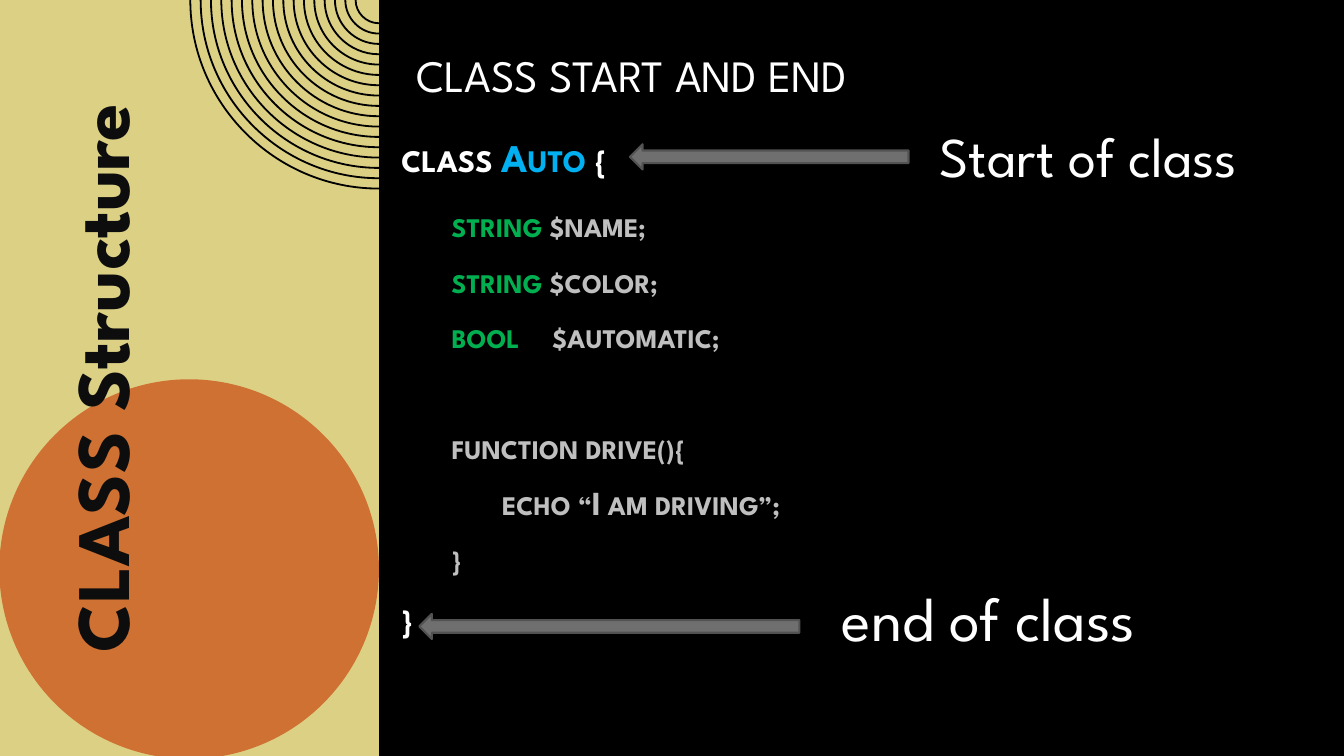
from lxml.etree import SubElement
from pptx import Presentation
from pptx.dml.color import RGBColor
from pptx.enum.shapes import MSO_SHAPE
from pptx.enum.text import MSO_ANCHOR, MSO_AUTO_SIZE, PP_ALIGN
from pptx.oxml.ns import qn
from pptx.util import Pt

COLORS = {
    "black": "000000", "sand": "DCD084", "orange": "CF7133",
    "white": "FFFFFF", "silver": "BFBFBF", "ink": "0D0D0D",
    "blue": "00B0F0", "green": "00B050",
    "arrow": "6F6F6F", "arrow edge": "525252",
}
PANEL_WIDTH = 270.7
TAB_WIDTH = 36
VALUE_STOP = 102
CIRCLE_HANDLE = 0.55

# Each line: indent level, size, extra space after, spans of (text, colour)
CODE = [
    (0, 28, 6, [("class ", "white"), ("Auto", "blue"), (" {", "white")]),
    (1, 24, 0, [("string ", "green"), ("$name;", "silver")]),
    (1, 24, 0, [("string ", "green"), ("$color;", "silver")]),
    (1, 24, 39.6, [("bool\t", "green"), ("$automatic;", "silver")]),
    (1, 24, 0, [("function drive(){", "silver")]),
    (2, 24, 0, [("echo “I am driving”;", "silver")]),
    (1, 24, 0, [("}", "silver")]),
    (0, 28, 0, [("}", "white")]),
]


def rgb(name):
    return RGBColor.from_string(COLORS[name])


def round_slanted_edges(shape):
    """Turn each slanted edge into a quarter circle bulging down and left."""
    start = None
    for edge in list(shape._element.iter(qn("a:moveTo"), qn("a:lnTo"))):
        end = tuple(int(edge[0].get(axis)) for axis in "xy")
        if edge.tag == qn("a:lnTo") and start[0] != end[0] and start[1] != end[1]:
            corner = min(start[0], end[0]), max(start[1], end[1])
            edge.tag = qn("a:cubicBezTo")
            edge.remove(edge[0])
            handles = [[round(p + CIRCLE_HANDLE * (c - p))
                        for p, c in zip(point, corner)] for point in (start, end)]
            for x, y in (*handles, end):
                SubElement(edge, qn("a:pt"), x=str(x), y=str(y))
        start = end


class SlideBuilder:
    def __init__(self, page, font="League Spartan"):
        self.page = page
        self.font = font
        page.background.fill.solid()
        page.background.fill.fore_color.rgb = rgb("black")

    def style(self, para, size, color=None, bold=False):
        para.font.name = self.font
        para.font.size = Pt(size)
        para.font.bold = bold
        if color:
            para.font.color.rgb = rgb(color)

    def paint(self, shape, fill, edge=None):
        shape.shadow.inherit = False
        shape.fill.solid()
        shape.fill.fore_color.rgb = rgb(fill)
        if edge:
            shape.line.color.rgb = rgb(edge)
            shape.line.width = Pt(1.5)
        else:
            shape.line.fill.background()

    def place(self, box, left, top, width, height):
        box.left, box.top = Pt(left), Pt(top)
        box.width, box.height = Pt(width), Pt(height)

    def shape(self, kind, left, top, width, height, fill, edge=None):
        shape = self.page.shapes.add_shape(
            kind, Pt(left), Pt(top), Pt(width), Pt(height))
        self.paint(shape, fill, edge)

    def quarter_rings(self, center_x, first, step, count, thickness):
        """Draw concentric quarter rings below the top edge as one shape."""
        builder = None
        for ring in range(count):
            outer = first + step * ring
            inner = outer - thickness
            corner = Pt(center_x - outer), 0
            if builder is None:
                builder = self.page.shapes.build_freeform(*corner)
            else:
                builder.move_to(*corner)
            builder.add_line_segments([
                (Pt(center_x - inner), 0), (Pt(center_x), Pt(inner)),
                (Pt(center_x), Pt(outer)), corner])
        rings = builder.convert_to_shape()
        round_slanted_edges(rings)
        self.paint(rings, "black")

    def title(self, text, left, top, width, height, size):
        box = self.page.shapes.title
        self.place(box, left, top, width, height)
        frame = box.text_frame
        frame.text = text
        frame.auto_size = MSO_AUTO_SIZE.NONE
        frame.vertical_anchor = MSO_ANCHOR.MIDDLE
        para = frame.paragraphs[0]
        para.alignment = PP_ALIGN.LEFT
        self.style(para, size, "white")

    def code(self, lines, left, top, width, height):
        box = self.page.placeholders[1]
        self.place(box, left, top, width, height)
        frame = box.text_frame
        frame.auto_size = MSO_AUTO_SIZE.NONE
        frame.vertical_anchor = MSO_ANCHOR.MIDDLE
        frame.margin_left = frame.margin_right = Pt(3.6)
        frame.margin_top = frame.margin_bottom = Pt(3.6)
        for number, line in enumerate(lines):
            para = frame.add_paragraph() if number else frame.paragraphs[0]
            self.code_line(para, *line)

    def code_line(self, para, level, size, gap, spans):
        para.alignment = PP_ALIGN.JUSTIFY
        para.line_spacing = Pt(size * 1.2)
        para.space_before = Pt(size * 0.2)
        para.space_after = Pt(6 + gap)
        properties = para._p.get_or_add_pPr()
        properties.set("marL", str(Pt(TAB_WIDTH * level)))
        properties.set("indent", "0")
        SubElement(properties, qn("a:buNone"))
        if any("\t" in text for text, _ in spans):
            stops = SubElement(properties, qn("a:tabLst"))
            SubElement(stops, qn("a:tab"), pos=str(Pt(VALUE_STOP)), algn="l")
        self.style(para, size, bold=True)
        for text, color in spans:
            span = para.add_run()
            span.text = text
            span.font.color.rgb = rgb(color)
            span._r.get_or_add_rPr().set("cap", "small")

    def label(self, text, left, top, width, height, size,
              color="white", bold=False, rotation=0):
        box = self.page.shapes.add_textbox(
            Pt(left), Pt(top), Pt(width), Pt(height))
        box.rotation = rotation
        frame = box.text_frame
        frame.word_wrap = True
        frame.text = text
        para = frame.paragraphs[0]
        para.alignment = PP_ALIGN.CENTER
        self.style(para, size, color, bold)


def main():
    deck = Presentation()
    deck.slide_width, deck.slide_height = Pt(960), Pt(540)
    slide = SlideBuilder(deck.slides.add_slide(deck.slide_layouts[1]))

    slide.shape(MSO_SHAPE.RECTANGLE, 0, 0, PANEL_WIDTH, 540, "sand")
    slide.quarter_rings(PANEL_WIDTH, first=17.3, step=7.38, count=17,
                        thickness=1.3)
    slide.shape(MSO_SHAPE.OVAL, -0.5, 270.9, 271.2, 271.2, "orange")

    slide.title("CLASS START AND END", 290, 23, 643, 60.5, 32)
    slide.code(CODE, 283, 83.5, 643, 386)

    slide.label("Start of class", 649.5, 83.5, 256, 55.5, 40)
    slide.label("end of class", 571, 410.5, 270.5, 60.5, 44)
    for left, top, width in [(450, 103, 199), (299.5, 438.5, 271.5)]:
        slide.shape(MSO_SHAPE.LEFT_ARROW, left, top, width, 18,
                    "arrow", "arrow edge")
    slide.label("CLASS Structure", -198.7, 233.7, 540, 72.7, 54,
                "ink", bold=True, rotation=270)

    deck.save("out.pptx")


if __name__ == "__main__":
    main()
